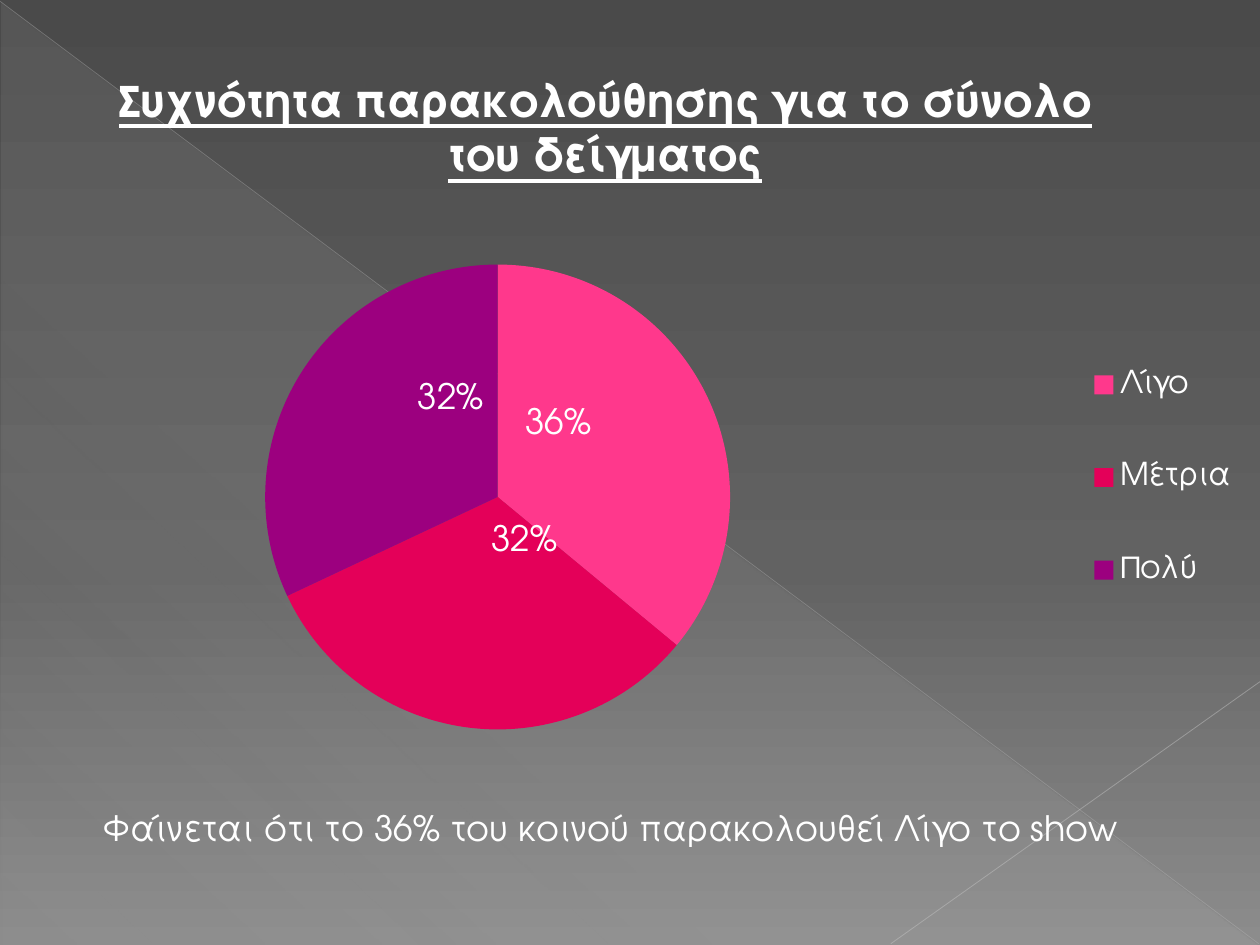
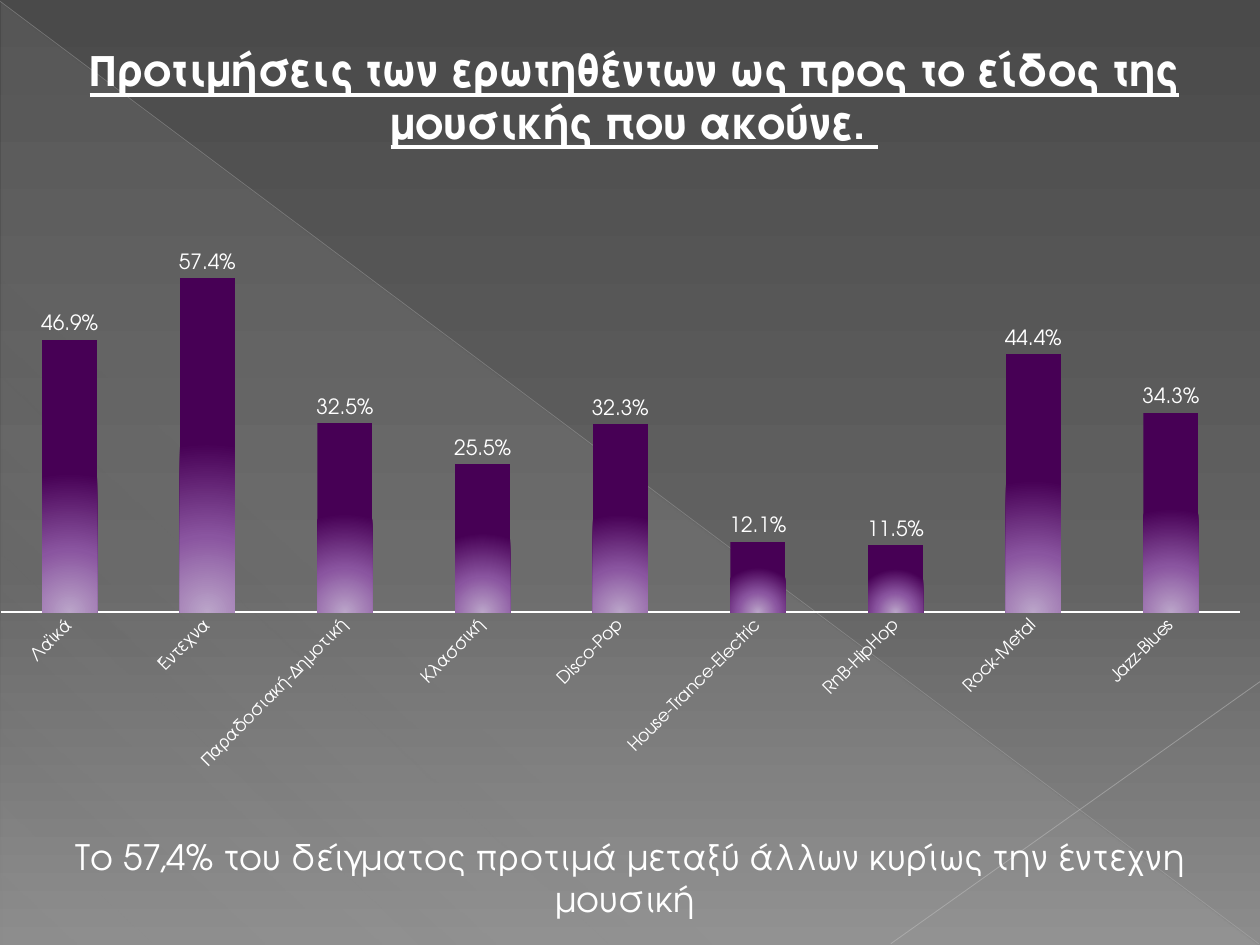
from copy import deepcopy
from lxml.etree import fromstring
from pptx import Presentation
from pptx.chart.data import CategoryChartData as Data
from pptx.dml.color import RGBColor as RGB
from pptx.enum.chart import XL_CHART_TYPE as Kind, XL_LABEL_POSITION as Spot
from pptx.enum.chart import XL_LEGEND_POSITION as Side, XL_TICK_MARK as Tick
from pptx.enum.shapes import MSO_CONNECTOR as Line, MSO_SHAPE as Shape
from pptx.enum.text import MSO_ANCHOR as Anchor, MSO_AUTO_SIZE as Fit, PP_ALIGN as Align
from pptx.oxml.ns import nsdecls, qn
from pptx.util import Inches, Pt

# Content; all places in inches, chart parts counted from the chart's corner
PIE = {
    "title": ("Συχνότητα παρακολούθησης για το σύνολο του δείγματος", 26, (0.67, 0.52, 8.27, 0.98)),
    "note": ("Φαίνεται ότι το 36% του κοινού παρακολουθεί Λίγο το show", (0.35, 6.35, 8.98, 0.77)),
    "box": (0, 1.55, 10, 4.57),
    "plot": (0.28, 0.55, 7.34, 3.69),
    "key": (8.58, 0.89, 1.3, 2.7),
    # name, value, colour, label shift
    "rows": [("Λίγο", 36, "FF388C", (-0.35, -0.18)),
             ("Μέτρια", 32, "E40059", (0.33, -0.56)),
             ("Πολύ", 32, "9C007F", (0.41, -0.28))],
}
BARS = {
    "title": ("Προτιμήσεις των ερωτηθέντων ως προς το είδος της μουσικής που ακούνε. ", 25,
              (0.35, 0.29, 9.37, 1.25)),
    "note": ("Το 57,4% του δείγματος προτιμά μεταξύ άλλων κυρίως την έντεχνη μουσική ",
             (0, 6.58, 10, 0.77)),
    "box": (0, 1.31, 10, 4.96),
    "plot": (0, 0.32, 9.84, 3.23),
    "rows": [("Λαϊκά", 0.469), ("Έντεχνα", 0.574), ("Παραδοσιακή-Δημοτική", 0.325),
             ("Κλασσική", 0.255), ("Disco-Pop", 0.323), ("House-Trance-Electric", 0.121),
             ("RnB-HipHop", 0.115), ("Rock-Metal", 0.444), ("Jazz-Blues", 0.343)],
}


class Theme:
    font = "TeX Gyre Adventor"
    ink = RGB.from_string("FFFFFF")
    note, key, share, value, base = 20, 18, 20, 12, 10
    # gradient stops: place, colour, opacity (percent)
    back = [(0, "4A4A4A", 100), (60, "626262", 100), (100, "8C8C8C", 100)]
    wedge = [(0, "D2D2D2", 10), (70, "D2D2D2", 8), (100, "D2D2D2", 1)]
    glow = [(0, "BBA5C9", 100), (45, "8A55A0", 100), (100, "470055", 100)]
    # from, to, colour, width, opacity
    rays = [((0, 0.01), (9.99, 7.49), "BFBFBF", 0.39, 35),
            ((10, 5.41), (7.07, 7.49), "C6C6C6", 0.47, 45)]


def inch(nums):
    return [Inches(n) for n in nums]


def blend(host, stops, angle=None):
    """Swap the solid fill of host for a gradient: linear, or round from the foot."""
    marks = "".join(f'<a:gs pos="{p * 1000}"><a:srgbClr val="{c}"><a:alpha val="{o * 1000}"/>'
                    '</a:srgbClr></a:gs>' for p, c, o in stops)
    way = ('<a:path path="circle"><a:fillToRect l="50000" t="100000" r="50000"/></a:path>'
           if angle is None else f'<a:lin ang="{angle * 60000}" scaled="0"/>')
    solid = host.find(qn("a:solidFill"))
    host.replace(solid, fromstring(f'<a:gradFill {nsdecls("a")} rotWithShape="1">'
                                   f'<a:gsLst>{marks}</a:gsLst>{way}</a:gradFill>'))


def lay(host, at, box, spot, inner=False):
    """Give a part of the chart in box a manual layout: two numbers shift it, four place it."""
    for old in host.findall(qn("c:layout")):
        host.remove(old)
    tags = '<c:layoutTarget val="inner"/>' if inner else ""
    if len(at) == 4:
        tags += '<c:xMode val="edge"/><c:yMode val="edge"/>'
    tags += "".join(f'<c:{n} val="{v / full}"/>' for n, v, full in zip("xywh", at, box[2:] * 2))
    host.insert(spot, fromstring(f'<c:layout {nsdecls("c")}><c:manualLayout>{tags}'
                                 '</c:manualLayout></c:layout>'))


# Shared backdrop, kept on the master
def dress(prs, slide):
    master = prs.slide_master
    master.background.fill.solid()
    master.background.fill.fore_color.rgb = Theme.ink
    blend(master._element.find(".//" + qn("p:bgPr")), Theme.back, 90)

    wedge = slide.shapes.add_shape(Shape.RIGHT_TRIANGLE, *inch((0.01, 0.02, 9.98, 7.48)))
    wedge.shadow.inherit = False
    wedge.line.fill.background()
    wedge.fill.solid()
    wedge.fill.fore_color.rgb = Theme.ink
    blend(wedge._element.spPr, Theme.wedge, 133)
    parts = [wedge]
    for start, end, color, width, alpha in Theme.rays:
        ray = slide.shapes.add_connector(Line.STRAIGHT, *inch(start + end))
        ray.line.color.rgb = RGB.from_string(color)
        ray.line.width = Pt(width)
        props = ray._element.spPr
        props.find(".//" + qn("a:srgbClr")).append(
            fromstring(f'<a:alpha {nsdecls("a")} val="{alpha * 1000}"/>'))
        props.append(fromstring(f'<a:effectLst {nsdecls("a")}/>'))
        parts.append(ray)
    for spot, part in enumerate(parts, 2):
        master.shapes._spTree.insert(spot, part._element)


# Title and note
def write(holder, text, size, box, head=False):
    holder.left, holder.top, holder.width, holder.height = inch(box)
    frame = holder.text_frame
    frame.text = text
    frame.word_wrap = True
    frame.auto_size = Fit.SHAPE_TO_FIT_TEXT
    frame.vertical_anchor = Anchor.TOP
    para = frame.paragraphs[0]
    para.alignment = Align.CENTER
    para.space_before = Pt(0)
    props = para._p.get_or_add_pPr()
    props.set("marL", "0")
    props.set("indent", "0")
    props.append(fromstring(f'<a:buNone {nsdecls("a")}/>'))
    font = para.font
    font.name, font.size, font.color.rgb = Theme.font, Pt(size), Theme.ink
    font.bold = font.underline = head


# Charts
def style(font, size):
    font.name, font.size, font.color.rgb = Theme.font, Pt(size), Theme.ink


def plot(slide, kind, item):
    """Add a clear chart with the shared font and return it."""
    data = Data()
    data.categories = [row[0] for row in item["rows"]]
    data.add_series("Series 1", [row[1] for row in item["rows"]])
    chart = slide.shapes.add_chart(kind, *inch(item["box"]), data).chart
    chart.has_title = chart.has_legend = False
    style(chart.font, Theme.base)
    area = chart._chartSpace.chart.plotArea
    lay(area, item["plot"], item["box"], 0, True)
    clear = fromstring(f'<c:spPr {nsdecls("a", "c")}><a:noFill/><a:ln><a:noFill/></a:ln></c:spPr>')
    area.append(deepcopy(clear))
    chart._chartSpace.chart.addnext(clear)
    return chart


def label(series, size, form, spot):
    tags = series.data_labels
    tags.number_format, tags.number_format_is_linked = form, False
    style(tags.font, size)
    tags.position = spot
    return tags


def pie(slide, item):
    chart = plot(slide, Kind.PIE, item)
    chart.has_legend = True
    key = chart.legend
    key.position, key.include_in_layout = Side.RIGHT, False
    style(key.font, Theme.key)
    lay(key._element, item["key"], item["box"], 1)

    series = chart.plots[0].series[0]
    tags = label(series, Theme.share, "0%", Spot.CENTER)
    tags.show_percentage, tags.show_value = True, False
    root = tags._element
    common = [part for part in root if part.tag != qn("c:showLeaderLines")]
    for i, (_, _, color, shift) in enumerate(item["rows"]):
        fill = series.points[i].format.fill
        fill.solid()
        fill.fore_color.rgb = RGB.from_string(color)
        tag = fromstring(f'<c:dLbl {nsdecls("c")}><c:idx val="{i}"/></c:dLbl>')
        tag.extend(deepcopy(common))
        lay(tag, shift, item["box"], 1)
        root.insert(i, tag)


def bars(slide, item):
    chart = plot(slide, Kind.COLUMN_CLUSTERED, item)
    group = chart.plots[0]
    group.gap_width, group.overlap, group.vary_by_categories = 150, -25, False
    series = group.series[0]
    series.format.fill.solid()
    series.format.fill.fore_color.rgb = Theme.ink
    blend(series._element.spPr, Theme.glow)
    label(series, Theme.value, "###0.0%", Spot.OUTSIDE_END).show_value = True

    axis = chart.value_axis
    axis.visible = axis.has_major_gridlines = False
    axis.minimum_scale, axis.maximum_scale = 0, 0.7
    base = chart.category_axis
    base.major_tick_mark = base.minor_tick_mark = Tick.NONE
    base.format.line.color.rgb = Theme.ink
    base.format.line.width = Pt(1)
    style(base.tick_labels.font, Theme.base)
    base._element.find(".//" + qn("a:bodyPr")).set("rot", str(-45 * 60000))


def main():
    prs = Presentation()
    prs.slide_width, prs.slide_height = inch((10, 7.5))
    for item, draw in ((PIE, pie), (BARS, bars)):
        slide = prs.slides.add_slide(prs.slide_layouts[1])
        if draw is pie:
            dress(prs, slide)
        draw(slide, item)
        write(slide.shapes.title, *item["title"], head=True)
        text, box = item["note"]
        write(slide.placeholders[1], text, Theme.note, box)
    prs.save("out.pptx")


if __name__ == "__main__":
    main()
